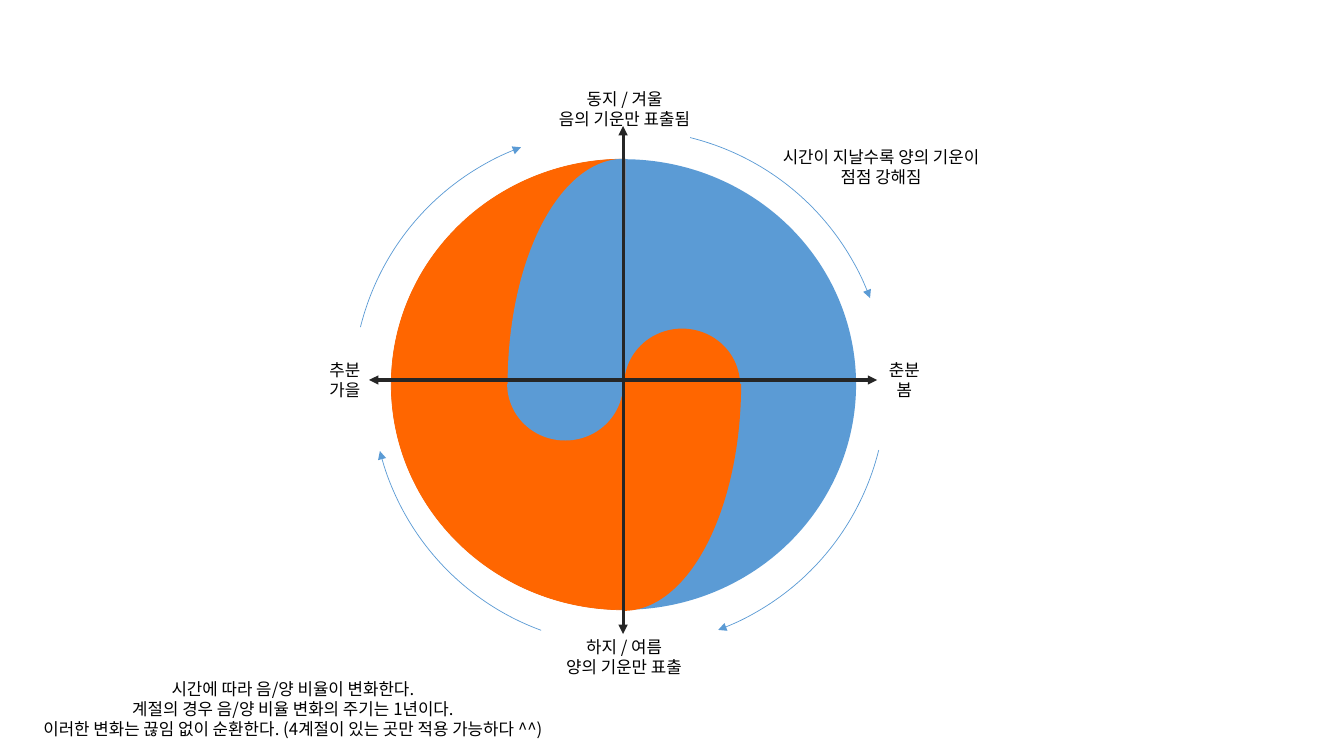
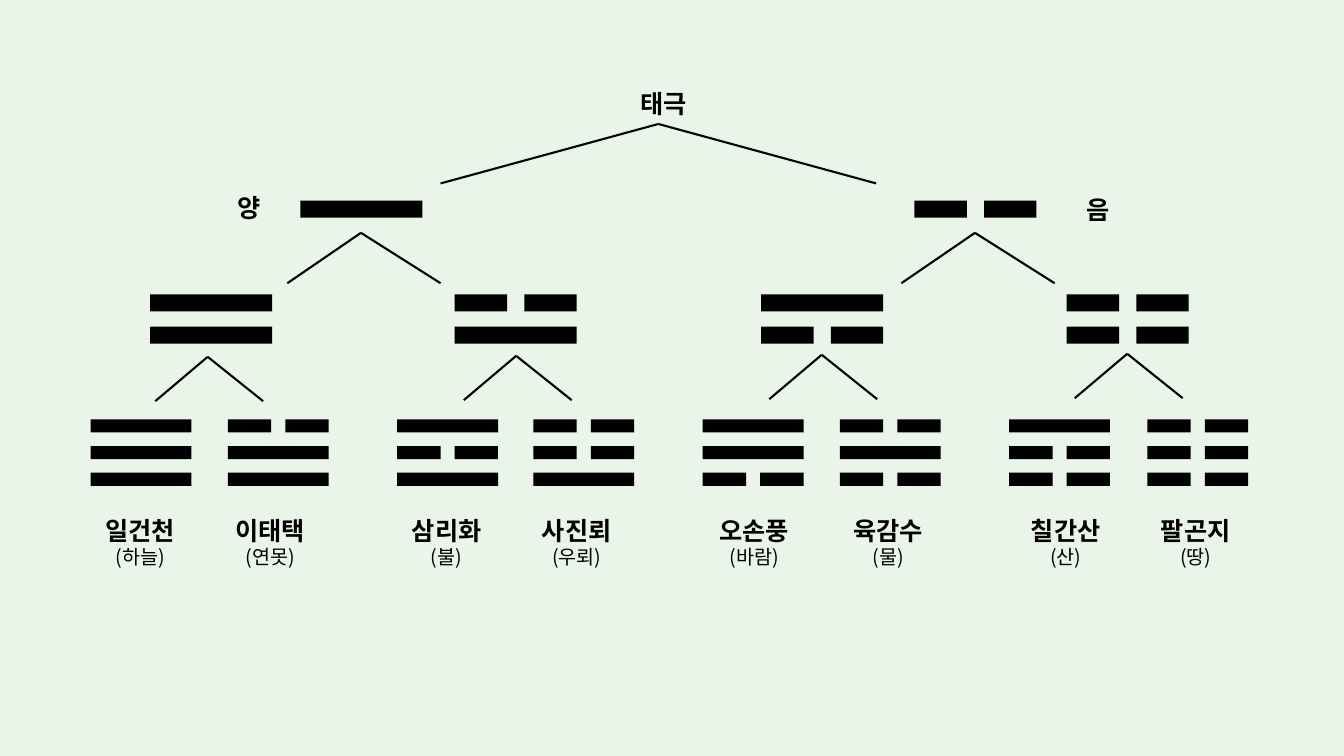
from dataclasses import dataclass
from lxml.etree import SubElement
from pptx import Presentation
from pptx.dml.color import RGBColor as RGB
from pptx.enum.shapes import MSO_CONNECTOR as CONN, MSO_SHAPE as SHAPE
from pptx.enum.text import MSO_AUTO_SIZE as FIT, PP_ALIGN as ALIGN
from pptx.oxml.ns import qn
from pptx.util import Emu, Pt


@dataclass(frozen=True)
class Theme:
    font: str = "Noto Sans CJK KR"
    white: RGB = RGB(0xFF, 0xFF, 0xFF)
    mint: RGB = RGB(0xEA, 0xF5, 0xEA)
    ink: RGB = RGB(0, 0, 0)
    axis: RGB = RGB(0x26, 0x26, 0x26)
    yin: RGB = RGB(0x5B, 0x9B, 0xD5)
    yang: RGB = RGB(0xFF, 0x66, 0x00)
    small: int = 12
    medium: int = 14
    large: int = 18


@dataclass(frozen=True)
class Bar:
    width: int
    half: int
    height: int
    pitch: float


T = Theme()
PX = 9144
WIDE = Bar(121, 52, 17, 32)
NARROW = Bar(100, 43, 13, 26.5)


def px(*lengths):
    return [Emu(round(n * PX)) for n in lengths]


def new_slide(prs, color):
    slide = prs.slides.add_slide(prs.slide_layouts[6])
    slide.background.fill.solid()
    slide.background.fill.fore_color.rgb = color
    return slide


def add_text(shapes, box, lines, size=T.small, bold=False, sub_size=None):
    tf = shapes.add_textbox(*px(*box)).text_frame
    tf.word_wrap = False
    tf.auto_size = FIT.SHAPE_TO_FIT_TEXT
    for i, line in enumerate(lines):
        p = tf.paragraphs[0] if i == 0 else tf.add_paragraph()
        p.alignment = ALIGN.CENTER
        r = p.add_run()
        r.text = line
        is_sub = i > 0 and sub_size is not None
        r.font.size = Pt(sub_size if is_sub else size)
        r.font.bold = bold and not is_sub
        r.font.name = T.font
        r.font.color.rgb = T.ink
        SubElement(r.font._element, qn("a:ea"), typeface=T.font)


def add_arrowhead(sp):
    SubElement(sp.element.spPr.find(qn("a:ln")), qn("a:tailEnd"), type="triangle")


def add_figure(shapes, kind, box, fill=None, line=None, weight=0.5, rotation=0, arc=None):
    sp = shapes.add_shape(kind, *px(*box))
    sp.shadow.inherit = False
    sp.rotation = rotation
    if arc:
        for i, degrees in enumerate(arc):
            sp.adjustments[i] = degrees * 0.6
    if fill is None:
        sp.fill.background()
    else:
        sp.fill.solid()
        sp.fill.fore_color.rgb = fill
    if line is None:
        sp.line.fill.background()
    else:
        sp.line.color.rgb = line
        sp.line.width = Pt(weight)
    return sp


def add_line(shapes, start, end, color=T.ink, weight=1.5, arrow=False):
    sp = shapes.add_connector(CONN.STRAIGHT, *px(*start, *end))
    sp.line.color.rgb = color
    sp.line.width = Pt(weight)
    if arrow:
        add_arrowhead(sp)
    SubElement(sp.element.spPr, qn("a:effectLst"))


def add_taegeuk(shapes, cx, cy):
    group = shapes.add_group_shape().shapes
    disc = (cx - 223, cy - 230, 447, 461)
    lobe = (cx - 223, cy - 115, 447, 230)
    add_figure(group, SHAPE.FLOWCHART_OR, disc, T.yin, rotation=90)
    add_figure(group, SHAPE.ARC, (cx + 1, cy - 55, 115, 112), T.yang, arc=(179.66, 0))
    add_figure(group, SHAPE.ARC, lobe, T.yang, T.yang, 2.25, 90, (270, 0))
    add_figure(group, SHAPE.ARC, disc, T.yang, T.yang, 0.5, 90, (359.55, 180.52))
    add_figure(group, SHAPE.ARC, lobe, T.yin, rotation=270, arc=(270, 0.56))
    add_figure(group, SHAPE.ARC, (cx - 115, cy - 56, 115, 112), T.yin,
               rotation=180, arc=(179.66, 0))


def add_axes(shapes, cx, cy, reach):
    for dx, dy in ((0, -1), (1, 0), (0, 1), (-1, 0)):
        add_line(shapes, (cx, cy), (cx + dx * reach, cy + dy * reach),
                 T.axis, 2.25, arrow=True)


def add_cycle(shapes, cx, cy, size):
    turns = ((0, 0, 0), (0, 0, 90), (2, 0, 186.3), (-17, 1, 270))
    for dx, dy, rotation in turns:
        box = (cx - size / 2 + dx, cy - size / 2 + dy, size, size)
        sp = add_figure(shapes, SHAPE.ARC, box, line=T.yin,
                        rotation=rotation, arc=(283.9, 339.59))
        add_arrowhead(sp)


def build_seasons(prs):
    shapes = new_slide(prs, T.white).shapes
    cx, cy = 618, 381
    add_taegeuk(shapes, cx, cy)
    add_axes(shapes, cx, cy - 4, 252)
    add_cycle(shapes, cx + 5, cy + 4, 512)
    labels = (
        (-82, -298, 167, ("동지 / 겨울", "음의 기운만 표출됨")),
        (-74, 246, 150, ("하지 / 여름", "양의 기운만 표출")),
        (252, -29, 54, ("춘분", "봄")),
        (-303, -29, 54, ("추분", "가을")),
        (136, -240, 240, ("시간이 지날수록 양의 기운이", "점점 강해짐")),
    )
    for dx, dy, width, lines in labels:
        add_text(shapes, (cx + dx, cy + dy, width, 50), lines)
    add_text(shapes, (0, 668, 581, 71), (
        "시간에 따라 음/양 비율이 변화한다.",
        "계절의 경우 음/양 비율 변화의 주기는 1년이다.",
        "이러한 변화는 끊임 없이 순환한다. (4계절이 있는 곳만 적용 가능하다 ^^)",
    ))


def add_symbol(shapes, x, y, lines, bar):
    for row, line in enumerate(lines):
        top = y + row * bar.pitch
        if line == "1":
            add_figure(shapes, SHAPE.RECTANGLE, (x, top, bar.width, bar.height), T.ink)
        else:
            for left in (x, x + bar.width - bar.half):
                add_figure(shapes, SHAPE.RECTANGLE, (left, top, bar.half, bar.height), T.ink)


def add_fork(shapes, x, y, left, right, drop):
    for dx in (-left, right):
        add_line(shapes, (x, y), (x + dx, y + drop))


def add_family(shapes, x, lines, apex, trigrams):
    add_symbol(shapes, x, 292, lines, WIDE)
    add_fork(shapes, *apex, 52, 55, 44)
    for top_line, (left, label_left, name, meaning) in zip("10", trigrams):
        add_symbol(shapes, left, 416, top_line + lines, NARROW)
        add_text(shapes, (label_left, 506, 96, 64), (name, meaning),
                 T.large, True, T.medium)


def build_trigrams(prs):
    shapes = new_slide(prs, T.mint).shapes
    add_text(shapes, (623, 83, 71, 40), ("태극",), T.large, True)
    add_fork(shapes, 653, 123, 216, 216, 59)
    poles = (
        (298, "1", 225, 186, "양"),
        (907, "0", 1067, 188, "음"),
    )
    for x, line, label_left, label_top, name in poles:
        add_symbol(shapes, x, 199, line, WIDE)
        add_fork(shapes, x + 60, 231, 73, 79, 50)
        add_text(shapes, (label_left, label_top, 45, 40), (name,), T.large, True)
    families = (
        (149, "11", (206, 354),
         ((90, 91, "일건천", "(하늘)"), (226, 220, "이태택", "(연못)"))),
        (451, "01", (512, 353),
         ((394, 395, "삼리화", "(불)"), (529, 524, "사진뢰", "(우뢰)"))),
        (755, "10", (815, 352),
         ((697, 700, "오손풍", "(바람)"), (833, 833, "육감수", "(물)"))),
        (1058, "00", (1118, 351),
         ((1001, 1009, "칠간산", "(산)"), (1138, 1138, "팔곤지", "(땅)"))),
    )
    for family in families:
        add_family(shapes, *family)


def main():
    prs = Presentation()
    prs.slide_width, prs.slide_height = px(1333, 750)
    build_seasons(prs)
    build_trigrams(prs)
    prs.save("out.pptx")


if __name__ == "__main__":
    main()
